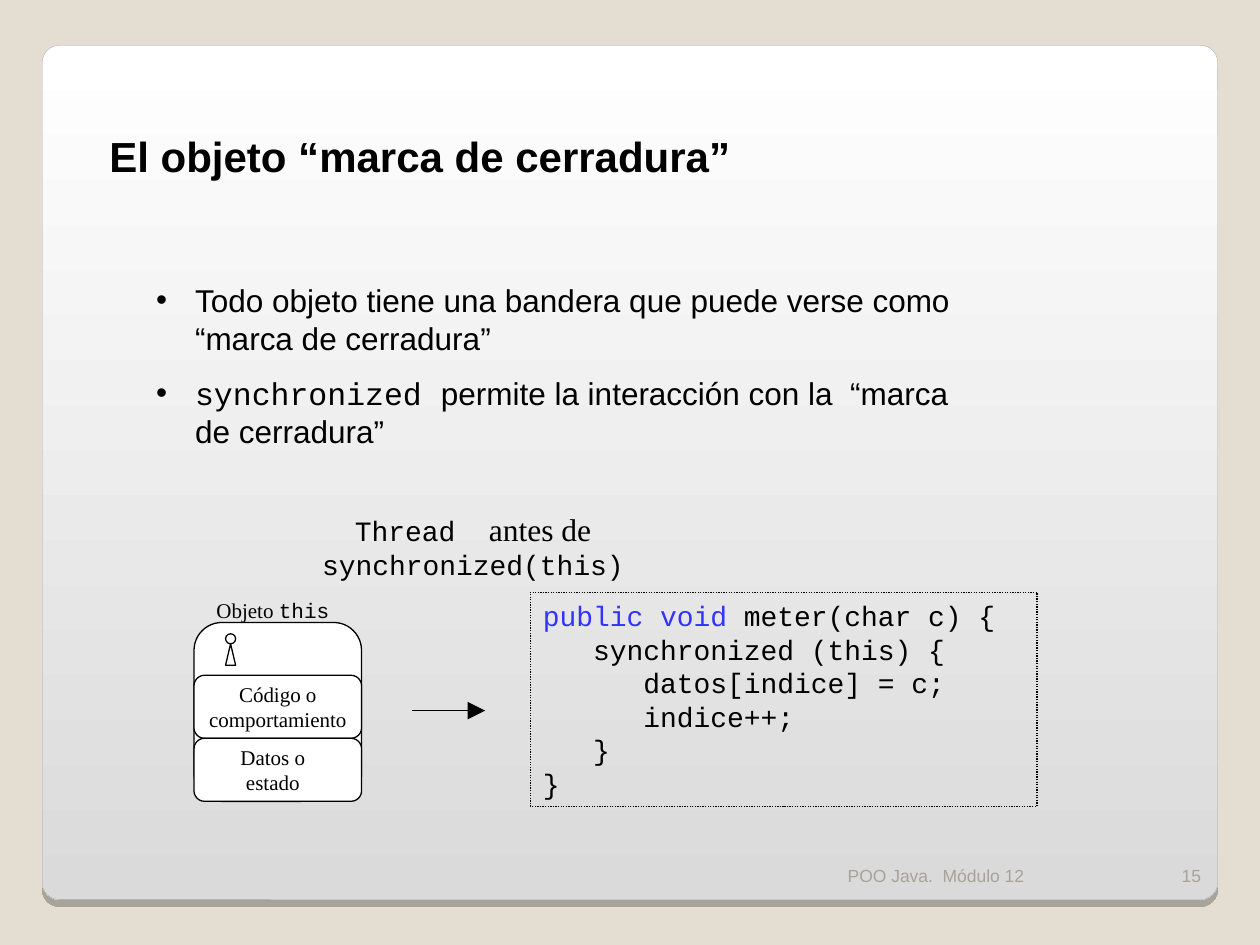
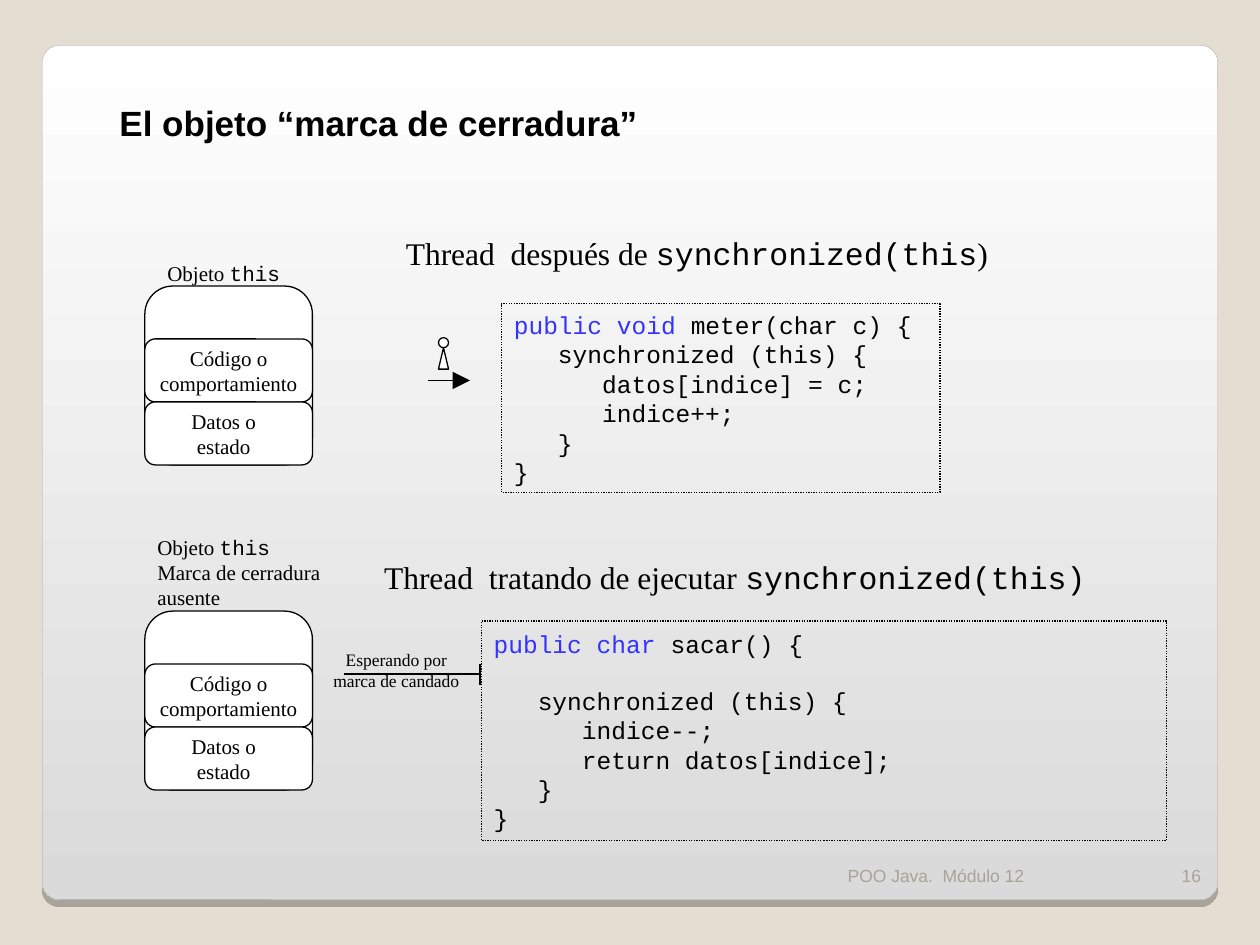
from lxml.etree import SubElement
from pptx import Presentation
from pptx.dml.color import RGBColor
from pptx.enum.dml import MSO_LINE
from pptx.enum.shapes import MSO_CONNECTOR, MSO_SHAPE
from pptx.enum.text import MSO_ANCHOR, PP_ALIGN
from pptx.oxml import parse_xml
from pptx.oxml.ns import nsdecls, qn
from pptx.util import Inches, Pt

SANS, SERIF, MONO = "Arial", "Times New Roman", "Courier New"
BLACK, WHITE, SAND, GREY, BLUE = "000000", "FFFFFF", "E3DED1", "A7A399", "3333FF"
color = RGBColor.from_string

prs = Presentation()
prs.slide_width, prs.slide_height = Inches(10), Inches(7.5)
CELL = prs.slide_width // 100  # square grid: 100 columns, 75 rows


def box(s, kind, x, y, w, h, fill=None, line=None):
    """Add a shape measured in grid cells; kind None gives a text box."""
    at = [round(v * CELL) for v in (x, y, w, h)]
    if kind is None:
        return s.shapes.add_textbox(*at)
    sp = s.shapes.add_shape(kind, *at)
    sp.shadow.inherit = False
    if fill:
        sp.fill.solid()
        sp.fill.fore_color.rgb = color(fill)
    else:
        sp.fill.background()
    if line:
        sp.line.color.rgb = color(line)
        sp.line.width = Pt(0.75)
    return sp


def write(sp, *paras, size=12, font=SERIF, fg=BLACK, bold=False,
          align=PP_ALIGN.LEFT, anchor=MSO_ANCHOR.MIDDLE, space=0,
          indent=0, bullet=None):
    """Fill a shape; a paragraph is a list of (text, {format changes}) runs."""
    tf = sp.text_frame
    tf.word_wrap = True
    tf.vertical_anchor = anchor
    for i, runs in enumerate(paras):
        p = tf.paragraphs[0] if i == 0 else tf.add_paragraph()
        p.alignment = align
        p.space_before = p.space_after = Pt(space)
        pPr = p._p.get_or_add_pPr()
        pPr.set("marL", str(round(indent * CELL)))
        pPr.set("indent", str(round(-indent * CELL) if bullet else 0))
        if bullet:
            SubElement(pPr, qn("a:buFont")).set("typeface", SANS)
            SubElement(pPr, qn("a:buChar")).set("char", bullet)
        for text, change in runs:
            r = p.add_run()
            r.text = text
            r.font.size = Pt(change.get("size", size))
            r.font.name = change.get("font", font)
            r.font.color.rgb = color(change.get("fg", fg))
            r.font.bold = bold


# Shared frame: background, panel, footer, number and title
slides = []
for number, x, y, w, size in [(15, 3.5, 9.9, 76.4, 24), (16, 4.3, 7.6, 50, 20)]:
    s = prs.slides.add_slide(prs.slide_layouts[6])
    slides.append(s)
    s.background.fill.solid()
    s.background.fill.fore_color.rgb = color(SAND)

    panel = box(s, MSO_SHAPE.ROUNDED_RECTANGLE, 3.35, 3.6, 93.3, 67.8, WHITE, "A4A3A3")
    panel.adjustments[0] = 0.02
    panel.line.width = Pt(0.17)
    panel.fill.gradient()
    panel.fill.gradient_angle = 270
    for stop, shade in zip(panel.fill.gradient_stops, (WHITE, "DADADA")):
        stop.color.rgb = color(shade)
    effects = panel._element.spPr.find(qn("a:effectLst"))
    effects.append(parse_xml(
        f'<a:outerShdw {nsdecls("a")} blurRad="0" dist="{Pt(4)}" dir="5400000" '
        'algn="tl" rotWithShape="0"><a:srgbClr val="000000">'
        '<a:alpha val="25000"/></a:srgbClr></a:outerShdw>'))

    footer = dict(size=10, font=SANS, fg=GREY, anchor=MSO_ANCHOR.BOTTOM)
    write(box(s, None, 66.3, 66.8, 25, 4), [("POO Java.  Módulo 12", {})], **footer)
    write(box(s, None, 91.3, 66.8, 5, 4), [(str(number), {})],
          align=PP_ALIGN.RIGHT, **footer)
    write(box(s, None, x, y, w, size / 5), [("El objeto “marca de cerradura”", {})],
          size=size, font=SANS, bold=True, anchor=MSO_ANCHOR.TOP, space=5, indent=4.2)

before, after = slides
mono = {"font": MONO}

write(box(before, None, 11.4, 21.8, 65.4, 14.4),
      [("Todo objeto tiene una bandera que puede verse como “marca de cerradura”", {})],
      [("synchronized ", mono),
       ("permite la interacción con la  “marca de cerradura”", {})],
      size=18, font=SANS, anchor=MSO_ANCHOR.TOP, space=5, indent=3.1, bullet="•")

# Captions over the code
captions = [
    (before, 15.2, 41.3, 44.7, PP_ALIGN.CENTER,
     [("Thread  ", {"font": MONO, "size": 16}), ("antes de", {}),
      (" ", {"size": 16}), ("synchronized(this)", {"font": MONO, "size": 16})]),
    (after, 26.7, 18.1, 57.2, PP_ALIGN.CENTER,
     [("Thread  después de ", {}), ("synchronized(this", mono), (")", {})]),
    (after, 29.5, 43.8, 59.8, PP_ALIGN.LEFT,
     [("Thread  tratando de ejecutar ", {}), ("synchronized(this)", mono)]),
]
for s, x, y, w, align, runs in captions:
    write(box(s, None, x, y, w, 4), runs, size=18, align=align)

# Code listings
put = ["public void", " meter(char c) {", "   synchronized (this) {",
       "      datos[indice] = c;", "      indice++;", "   }", "}"]
take = ["public char", " sacar() {", "   synchronized (this) {",
        "      indice--;", "      return datos[indice];", "   }", "}"]
listings = [
    (before, 42.1, 47, 40.2, 17, 16, put),
    (after, 39.8, 24.1, 34.8, 15, 14, put),
    (after, 38.2, 49.3, 54.4, 17.4, 14, take),
]
for s, x, y, w, h, size, (keywords, signature, *body) in listings:
    code = box(s, MSO_SHAPE.RECTANGLE, x, y, w, h, line=BLACK)
    code.line.dash_style = MSO_LINE.ROUND_DOT
    write(code, [(keywords, {"fg": BLUE}), (signature, {})],
          *[[(row, {})] for row in body], size=size, font=MONO)
    if body[-3].strip().startswith("return"):
        code.text_frame.paragraphs[1].space_before = Pt(size * 1.13)

# Objects: a case with two compartments, labelled above
label = [("Objeto ", {}), ("this", mono)]
missing = [("Marca de cerradura ausente", {})]
objects = [
    (before, 15.4, 49.4, (0.8, -2.5, 11.7, 3), [label]),
    (after, 11.5, 22.7, (0.8, -2.5, 11.7, 3), [label]),
    (after, 11.5, 48.5, (0, -6.6, 15.8, 7), [label, missing]),
]
for s, x, y, (dx, dy, w, h), lines in objects:
    box(s, MSO_SHAPE.ROUNDED_RECTANGLE, x, y, 13.3, 14.2, WHITE, BLACK)
    parts = [("Código o comportamiento", -0.9, 15.1), ("Datos o estado", 1.65, 9.2)]
    for row, (part, shift, width) in enumerate(parts):
        top = y + 4.2 + 5 * row
        box(s, MSO_SHAPE.ROUNDED_RECTANGLE, x, top, 13.3, 5, WHITE, BLACK)
        write(box(s, None, x + shift, top, width, 5), [(part, {})],
              align=PP_ALIGN.CENTER)
    write(box(s, None, x + dx, y + dy, w, h), *lines)

# Lock marks
for s, x, y in [(before, 17.9, 50.3), (after, 34.8, 26.8)]:
    box(s, MSO_SHAPE.ISOSCELES_TRIANGLE, x, y + 0.8, 0.8, 1.7, WHITE, BLACK)
    box(s, MSO_SHAPE.OVAL, x, y, 0.8, 0.8, WHITE, BLACK)

write(box(after, None, 24.8, 51, 13.3, 4.4),
      [("Esperando por marca de candado", {})], size=10, align=PP_ALIGN.CENTER)

# Arrows of running threads and the barred line of the waiting one
strokes = [
    (before, 32.7, 56.4, 38.5, 56.4, True),
    (after, 34, 30.2, 37.3, 30.2, True),
    (after, 27.3, 53.5, 38.1, 53.5, False),
    (after, 38.1, 52.7, 38.1, 54.4, False),
]
for s, *ends, arrow in strokes:
    stroke = s.shapes.add_connector(MSO_CONNECTOR.STRAIGHT,
                                    *[round(v * CELL) for v in ends])
    stroke.line.color.rgb = color(BLACK)
    stroke.line.width = Pt(0.75)
    if arrow:
        tail = SubElement(stroke.line._get_or_add_ln(), qn("a:tailEnd"))
        tail.set("type", "triangle")
        tail.set("w", "lg")
        tail.set("len", "lg")
    SubElement(stroke._element.spPr, qn("a:effectLst"))

prs.save("out.pptx")
